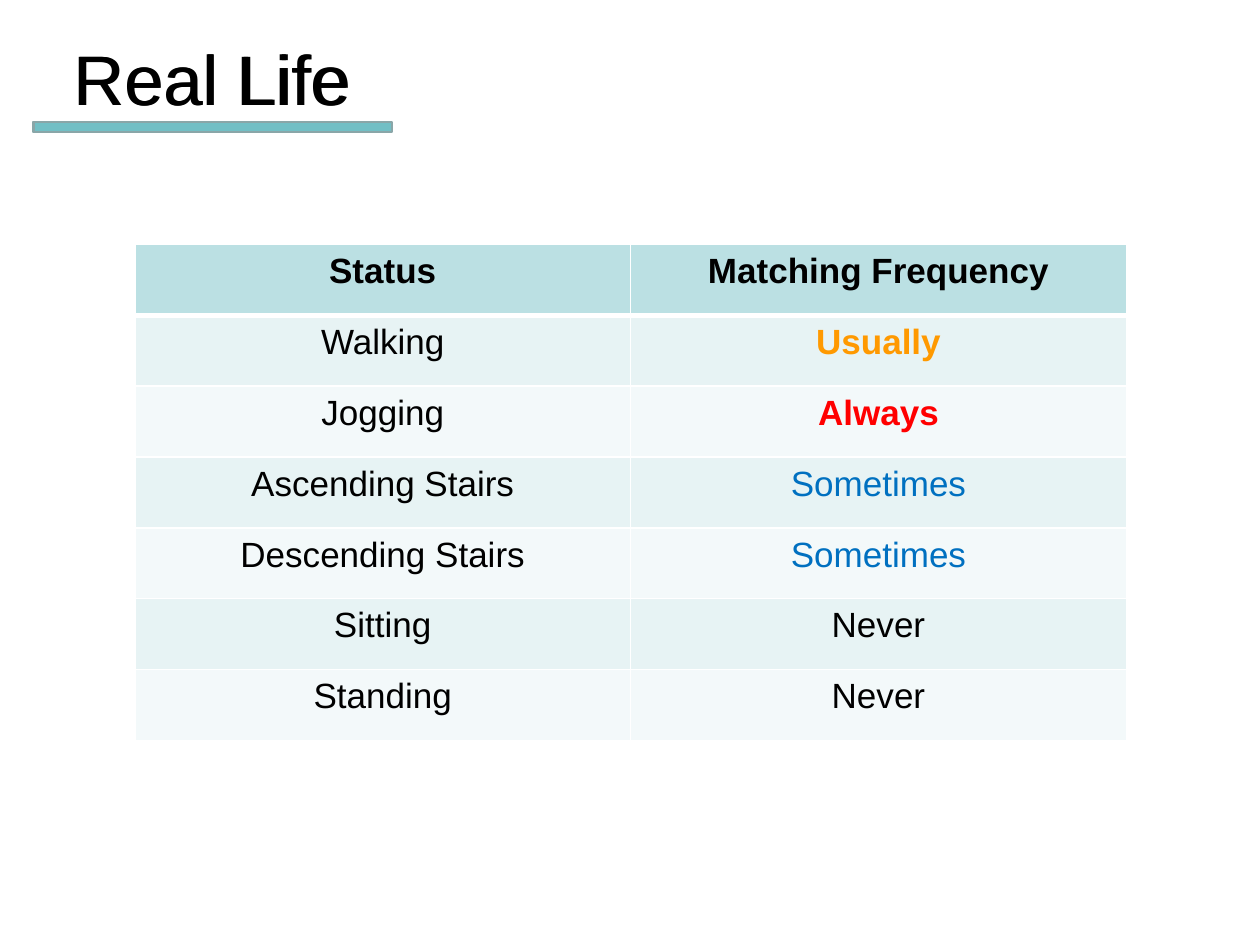
from dataclasses import dataclass

from lxml import etree
from pptx import Presentation
from pptx import util as u
from pptx.dml.color import RGBColor
from pptx.enum import shapes, text
from pptx.oxml.ns import qn


@dataclass(frozen=True)
class Theme:
    font: str = "Arial"
    title_size: int = 40
    table_size: int = 20
    ink: str = "000000"
    usually: str = "FF9900"
    always: str = "FF0000"
    sometimes: str = "0070C0"
    header_fill: str = "BBE0E3"
    band_fills: tuple[str, str] = ("E7F3F4", "F3F9FA")
    border: str = "FFFFFF"
    bar_fill: str = "72BFC5"
    bar_line: str = "8AA6A8"


THEME = Theme()


@dataclass(frozen=True)
class Entry:
    status: str
    frequency: str
    color: str = THEME.ink
    bold: bool = False


ENTRIES = [
    Entry("Walking", "Usually", THEME.usually, True),
    Entry("Jogging", "Always", THEME.always, True),
    Entry("Ascending Stairs", "Sometimes", THEME.sometimes),
    Entry("Descending Stairs", "Sometimes", THEME.sometimes),
    Entry("Sitting", "Never"),
    Entry("Standing", "Never"),
]


def rgb(color: str) -> RGBColor:
    return RGBColor.from_string(color)


def style_line(paragraph, size: int, color: str, bold: bool = False) -> None:
    paragraph.alignment = text.PP_ALIGN.CENTER
    font = paragraph.font
    font.name, font.size, font.bold = THEME.font, u.Pt(size), bold
    font.color.rgb = rgb(color)


def add_borders(cell, bottom: float, top: float) -> None:
    properties = cell._tc.get_or_add_tcPr()
    for side, width in (("L", 1), ("R", 1), ("T", top), ("B", bottom)):
        border = etree.SubElement(properties, qn(f"a:ln{side}"), w=str(u.Pt(width)))
        fill = etree.SubElement(border, qn("a:solidFill"))
        etree.SubElement(fill, qn("a:srgbClr"), val=THEME.border)


def fill_cell(table, row: int, column: int, words: str, color: str, bold: bool) -> None:
    cell = table.cell(row, column)
    cell.text = words
    cell.margin_left = cell.margin_right = u.Inches(0.11)
    cell.margin_top = cell.margin_bottom = u.Inches(0.06)
    style_line(cell.text_frame.paragraphs[0], THEME.table_size, color, bold)
    add_borders(cell, bottom=3 if row == 0 else 1, top=3 if row == 1 else 1)
    cell.fill.solid()
    cell.fill.fore_color.rgb = rgb(
        THEME.band_fills[(row - 1) % 2] if row else THEME.header_fill
    )


def add_frequency_table(slide) -> None:
    row_count = len(ENTRIES) + 1
    table = slide.shapes.add_table(
        row_count, 2, u.Inches(1.07), u.Inches(1.94),
        u.Inches(7.87), u.Inches(0.5625 * row_count),
    ).table
    for column, heading in enumerate(("Status", "Matching Frequency")):
        fill_cell(table, 0, column, heading, THEME.ink, True)
    for row, entry in enumerate(ENTRIES, start=1):
        fill_cell(table, row, 0, entry.status, THEME.ink, False)
        fill_cell(table, row, 1, entry.frequency, entry.color, entry.bold)


def add_title(slide, shift: float) -> None:
    title = slide.shapes.add_textbox(
        u.Inches(0.47 + shift), u.Inches(0.23), u.Inches(2.42), u.Inches(0.77)
    )
    frame = title.text_frame
    frame.word_wrap = False
    frame.auto_size = text.MSO_AUTO_SIZE.SHAPE_TO_FIT_TEXT
    frame.text = "Real Life"
    style_line(frame.paragraphs[0], THEME.title_size, THEME.ink)

    bar = slide.shapes.add_shape(
        shapes.MSO_SHAPE.RECTANGLE,
        u.Inches(0.26 + shift), u.Inches(0.97), u.Inches(2.84), u.Inches(0.08),
    )
    bar.shadow.inherit = False
    bar.fill.solid()
    bar.fill.fore_color.rgb = rgb(THEME.bar_fill)
    bar.line.color.rgb = rgb(THEME.bar_line)
    bar.line.width = u.Pt(1)


def main() -> None:
    deck = Presentation()
    deck.slide_width, deck.slide_height = u.Inches(10), u.Inches(7.5)
    slide = deck.slides.add_slide(deck.slide_layouts[6])

    # Status table
    add_frequency_table(slide)

    # Underlined title, doubled with a slight shift for a heavier look
    for shift in (0, 0.01):
        add_title(slide, shift)

    deck.save("out.pptx")


if __name__ == "__main__":
    main()
